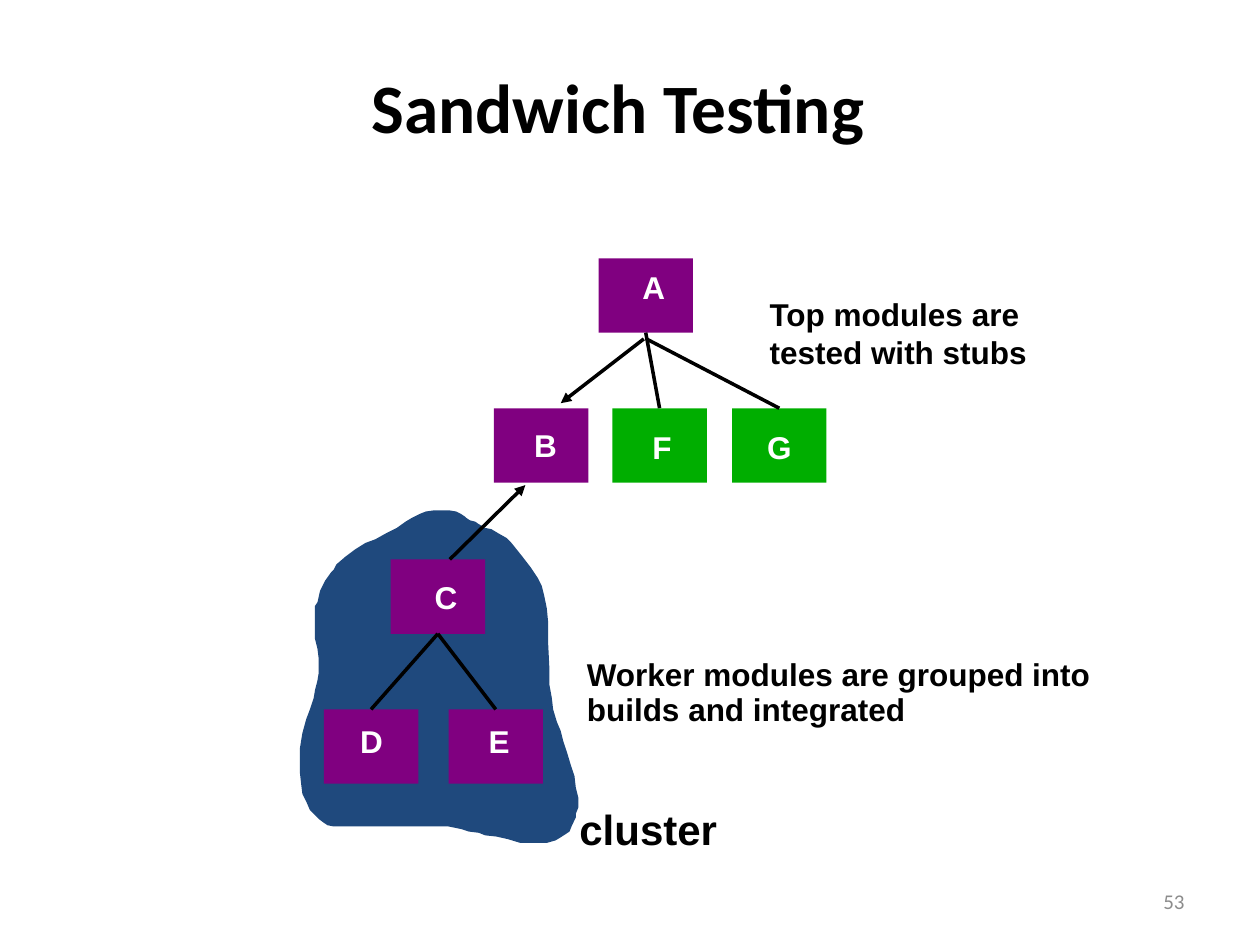
"""Build the Sandwich Testing slide: a module tree with a worker cluster."""
from dataclasses import dataclass

from lxml.etree import SubElement
from pptx import Presentation
from pptx.dml.color import RGBColor as Color
from pptx.enum.shapes import MSO_CONNECTOR as Connector, MSO_SHAPE as Shape
from pptx.enum.text import MSO_ANCHOR as Anchor, MSO_AUTO_SIZE as Fit, PP_ALIGN as Align
from pptx.oxml.ns import qn
from pptx.util import Inches, Pt


@dataclass(frozen=True)
class Theme:
    ink: Color = Color(0, 0, 0)
    paper: Color = Color(255, 255, 255)
    muted: Color = Color(0x8C, 0x8C, 0x8C)
    tested: Color = Color(0x80, 0, 0x80)
    stub: Color = Color(0, 0xAE, 0)
    cluster: Color = Color(0x1F, 0x49, 0x7D)
    heading_font: str = "Calibri"
    body_font: str = "Arial"
    title_size: float = 39.6
    cluster_size: float = 24
    body_size: float = 18
    number_size: float = 12
    line_width: float = 2


THEME = Theme()
MODULE_SIZE = (0.75, 0.59)
BOTTOM, TOP = 2, 0

# name: (module left, module top, fill, label left, label top, label width)
MODULES = {
    "A": (4.75, 2.05, THEME.tested, 5, 2.08, 0.38),
    "B": (3.92, 3.24, THEME.tested, 4.14, 3.33, 0.38),
    "C": (3.1, 4.44, THEME.tested, 3.35, 4.54, 0.38),
    "D": (2.57, 5.63, THEME.tested, 2.76, 5.68, 0.38),
    "E": (3.56, 5.63, THEME.tested, 3.78, 5.68, 0.36),
    "F": (4.86, 3.24, THEME.stub, 5.08, 3.35, 0.35),
    "G": (5.81, 3.24, THEME.stub, 5.99, 3.35, 0.39),
}

# An end is a module name when it is joined, otherwise a point; then the arrowhead.
LINKS = [
    ("C", "D", False),
    ("C", "E", False),
    ("A", "F", False),
    ((5.13, 2.69), "G", False),
    ((5.11, 2.69), (4.45, 3.2), True),
    ((3.57, 4.44), (4.17, 3.85), True),
]

NOTES = [
    ((6.01, 2.29, 2.24, 0.7), ["Top modules are", "tested with stubs"], THEME.body_size),
    ((4.56, 5.15, 4.27, 0.4), ["Worker modules are grouped into"], THEME.body_size),
    ((4.56, 5.43, 2.73, 0.4), ["builds and integrated"], THEME.body_size),
    ((4.5, 6.33, 1.29, 0.5), ["cluster"], THEME.cluster_size),
]

# Hundredths of an inch
CLUSTER_OUTLINE = [
    (402, 427), (395, 423), (390, 420), (385, 419), (380, 416), (377, 414), (373, 413),
    (370, 411), (369, 410), (366, 408), (362, 406), (356, 405), (345, 405), (338, 406),
    (333, 408), (327, 411), (322, 414), (315, 419), (307, 423), (298, 428), (290, 431),
    (282, 436), (274, 442), (267, 448), (265, 452), (263, 454), (258, 461), (254, 469),
    (252, 478), (250, 481), (250, 507), (252, 515), (253, 523), (253, 534), (252, 540),
    (250, 548), (249, 554), (246, 563), (243, 571), (240, 582), (238, 594), (238, 613),
    (239, 622), (240, 630), (243, 636), (246, 643), (249, 646), (253, 650), (257, 653),
    (260, 655), (265, 656), (356, 656), (366, 658), (372, 660), (380, 661), (385, 663),
    (394, 664), (403, 666), (413, 669), (428, 669), (434, 669), (441, 667), (446, 664),
    (452, 660), (454, 655), (457, 649), (457, 646), (459, 641), (459, 633), (457, 625),
    (456, 616), (453, 607), (450, 597), (447, 588), (445, 580), (442, 573), (439, 563),
    (438, 554), (436, 543), (436, 529), (435, 509), (435, 493), (434, 483), (432, 473),
    (430, 465), (427, 459), (421, 450), (414, 441), (406, 431),
]


def apply_format(target, values):
    """Set each named attribute on the target."""
    for name, value in values.items():
        setattr(target, name, value)


def add_text(page, place, lines, size, color=THEME.ink, font=THEME.body_font,
             bold=True, align=Align.LEFT, frame_format=None):
    """Add a text box with one paragraph per line."""
    box = page.shapes.add_textbox(*map(Inches, place))
    frame = box.text_frame
    apply_format(frame, frame_format or {"word_wrap": False,
                                         "auto_size": Fit.SHAPE_TO_FIT_TEXT})
    for index, line in enumerate(lines):
        para = frame.paragraphs[0] if index == 0 else frame.add_paragraph()
        para.alignment = align
        span = para.add_run()
        span.text = line
        apply_format(span.font, {"name": font, "size": Pt(size), "bold": bold})
        span.font.color.rgb = color


def paint(shape, color):
    """Give a shape a plain fill with no line or shadow."""
    shape.shadow.inherit = False
    shape.fill.solid()
    shape.fill.fore_color.rgb = color
    shape.line.fill.background()


def add_cluster(page):
    """Draw the blob around the worker modules."""
    builder = page.shapes.build_freeform(*CLUSTER_OUTLINE[0], scale=Inches(0.01))
    builder.add_line_segments(CLUSTER_OUTLINE[1:], close=True)
    paint(builder.convert_to_shape(), THEME.cluster)


def add_module(page, left, top, color):
    """Draw one module rectangle and return it."""
    module = page.shapes.add_shape(Shape.RECTANGLE,
                                   *map(Inches, (left, top, *MODULE_SIZE)))
    paint(module, color)
    return module


def add_link(page, modules, start, end, arrow):
    """Draw a line between two modules or points."""
    points = [(0, 0) if point in modules else point for point in (start, end)]
    link = page.shapes.add_connector(
        Connector.STRAIGHT, *(Inches(value) for point in points for value in point))
    if start in modules:
        link.begin_connect(modules[start], BOTTOM)
    if end in modules:
        link.end_connect(modules[end], TOP)
    link.line.color.rgb = THEME.ink
    link.line.width = Pt(THEME.line_width)
    if arrow:
        SubElement(link.line._get_or_add_ln(), qn("a:tailEnd"), type="triangle")
    SubElement(link._element.spPr, qn("a:effectLst"))


def main():
    """Build and save the slide."""
    deck = Presentation()
    deck.slide_width, deck.slide_height = Inches(10), Inches(7.5)
    page = deck.slides.add_slide(deck.slide_layouts[6])
    middle = {"word_wrap": True, "vertical_anchor": Anchor.MIDDLE}

    add_text(page, (1.73, 0.58, 6.35, 0.52), ["Sandwich Testing"], THEME.title_size,
             font=THEME.heading_font, align=Align.CENTER, frame_format=middle)
    add_text(page, (7.17, 6.95, 2.33, 0.4), ["53"], THEME.number_size, THEME.muted,
             THEME.heading_font, False, Align.RIGHT, middle)
    add_cluster(page)
    modules = {name: add_module(page, *values[:3]) for name, values in MODULES.items()}
    for link in LINKS:
        add_link(page, modules, *link)
    for place, lines, size in NOTES:
        add_text(page, place, lines, size)
    for name, (*_, left, top, width) in MODULES.items():
        add_text(page, (left, top, width, 0.4), [name], THEME.body_size, THEME.paper)

    deck.save("out.pptx")


if __name__ == "__main__":
    main()
